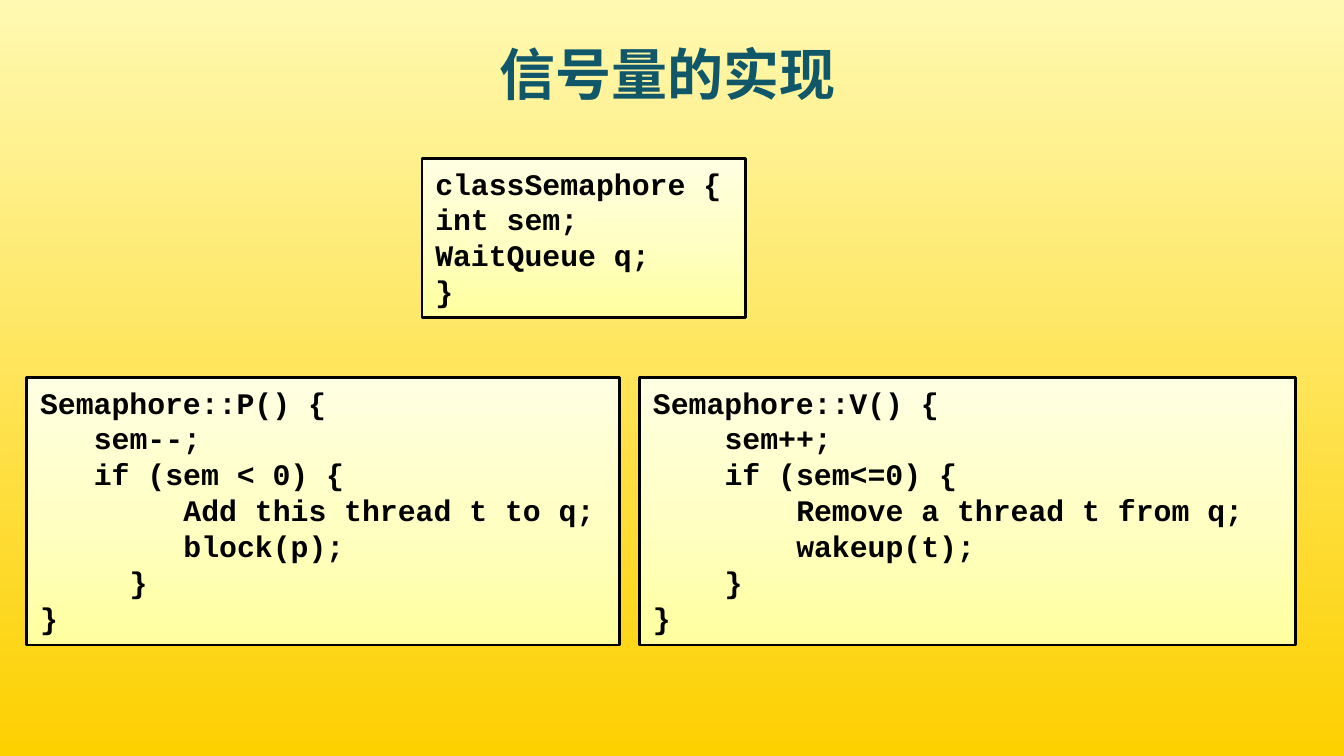
from copy import deepcopy

from lxml import etree
from pptx import Presentation
from pptx.dml.color import RGBColor
from pptx.enum.shapes import MSO_SHAPE
from pptx.enum.text import MSO_ANCHOR, MSO_AUTO_SIZE, PP_ALIGN
from pptx.oxml.ns import qn
from pptx.util import Inches, Pt

RECT = MSO_SHAPE.RECTANGLE
LEFT, CENTER = PP_ALIGN.LEFT, PP_ALIGN.CENTER
TOP, MIDDLE = MSO_ANCHOR.TOP, MSO_ANCHOR.MIDDLE
GROW, FIXED = MSO_AUTO_SIZE.SHAPE_TO_FIT_TEXT, MSO_AUTO_SIZE.NONE

SLIDE_WIDTH = Inches(10)
SLIDE_HEIGHT = SLIDE_WIDTH * 9 // 16  # widescreen
TITLE_FONT = {"name": "Noto Sans CJK SC", "size": Pt(30), "bold": True}
CODE_FONT = {"name": "Courier New", "size": Pt(16), "bold": True}
CHAR_WIDTH = 16 * 0.6 / 72  # one monospaced column, in inches

# Code: (indent in columns, text) for each line
CLASS_CODE = [(0, "classSemaphore {"), (0, "int sem;"),
              (0, "WaitQueue q;"), (0, "}")]
P_CODE = [(0, "Semaphore::P() {"), (3, "sem--;"), (3, "if (sem < 0) {"),
          (8, "Add this thread t to q;"), (8, "block(p);"), (5, "}"), (0, "}")]
V_CODE = [(0, "Semaphore::V() {"), (4, "sem++;"), (4, "if (sem<=0) {"),
          (8, "Remove a thread t from q;"), (8, "wakeup(t);"), (4, "}"),
          (0, "}")]


def rgb(color):
    return RGBColor.from_string(color)


def set_format(target, values):
    for name, value in values.items():
        setattr(target, name, value)


def set_gradient(fill, element, colors, angle):
    """Spread the colors evenly along a linear gradient."""
    fill.gradient()
    fill.gradient_angle = angle
    stops = next(element.iter(qn("a:gsLst")))
    while len(stops) < len(colors):
        stops.append(deepcopy(stops[0]))
    for i, (stop, color) in enumerate(zip(fill.gradient_stops, colors)):
        stop.color.rgb = rgb(color)
        stop.position = i / (len(colors) - 1)


def add_line(p, text, font, color, align):
    p.alignment = align
    r = p.add_run()
    r.text = text
    set_format(r.font, font)
    r.font.color.rgb = rgb(color)
    return r


def add_title(s, text, box):
    sp = s.shapes.add_textbox(*map(Inches, box))
    tf = sp.text_frame
    set_format(tf, {"word_wrap": True, "vertical_anchor": MIDDLE,
                    "auto_size": FIXED, "margin_top": Inches(0.08)})
    r = add_line(tf.paragraphs[0], text, TITLE_FONT, "11576A", CENTER)
    # East Asian typeface
    ea = etree.SubElement(r.font._element, qn("a:ea"))
    ea.set("typeface", TITLE_FONT["name"])


def add_code_box(s, lines, box):
    sp = s.shapes.add_shape(RECT, *map(Inches, box))
    sp.shadow.inherit = False
    set_gradient(sp.fill, sp.element, ["FFFFA0", "FFFFC5", "FFFFE3"], 90)
    sp.line.color.rgb = rgb("000000")
    sp.line.width = Pt(1.5)
    tf = sp.text_frame
    set_format(tf, {"word_wrap": True, "vertical_anchor": TOP,
                    "auto_size": GROW})
    for i, (indent, text) in enumerate(lines):
        p = tf.add_paragraph() if i else tf.paragraphs[0]
        add_line(p, text, CODE_FONT, "000000", LEFT)
        if indent:
            pPr = p._p.get_or_add_pPr()
            pPr.set("marL", str(Inches(indent * CHAR_WIDTH)))


def main():
    prs = Presentation()
    set_format(prs, {"slide_width": SLIDE_WIDTH, "slide_height": SLIDE_HEIGHT})
    s = prs.slides.add_slide(prs.slide_layouts[6])

    # Background and title
    set_gradient(s.background.fill, s.element, ["FFF9B1", "FDD000"], 270)
    add_title(s, "信号量的实现", (0.47, 0.25, 9, 0.56))

    # Class above, its two operations side by side
    add_code_box(s, P_CODE, (0.2, 2.81, 4.41, 1.99))
    add_code_box(s, V_CODE, (4.76, 2.81, 4.88, 1.99))
    add_code_box(s, CLASS_CODE, (3.14, 1.18, 2.41, 1.18))

    prs.save("out.pptx")


main()
